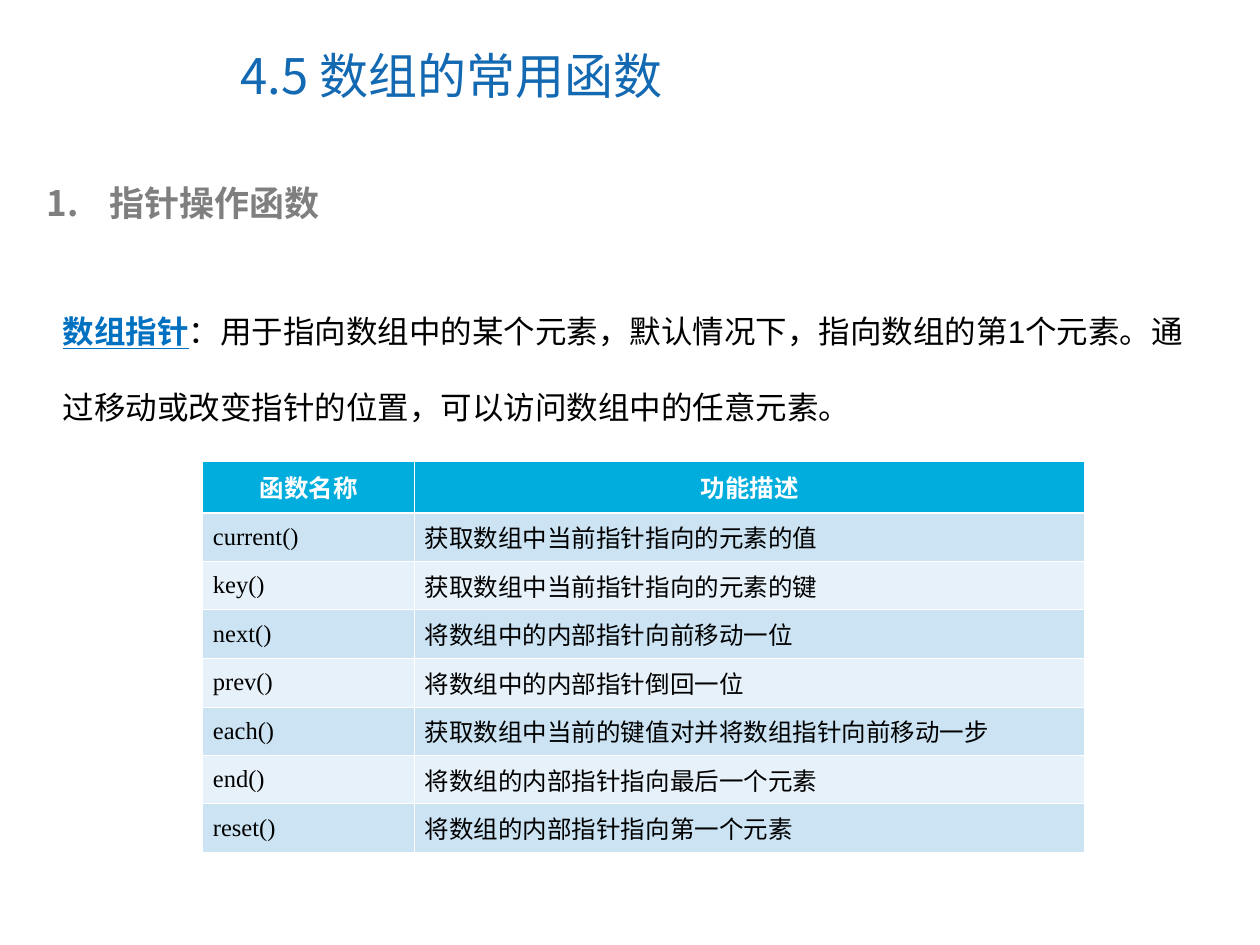
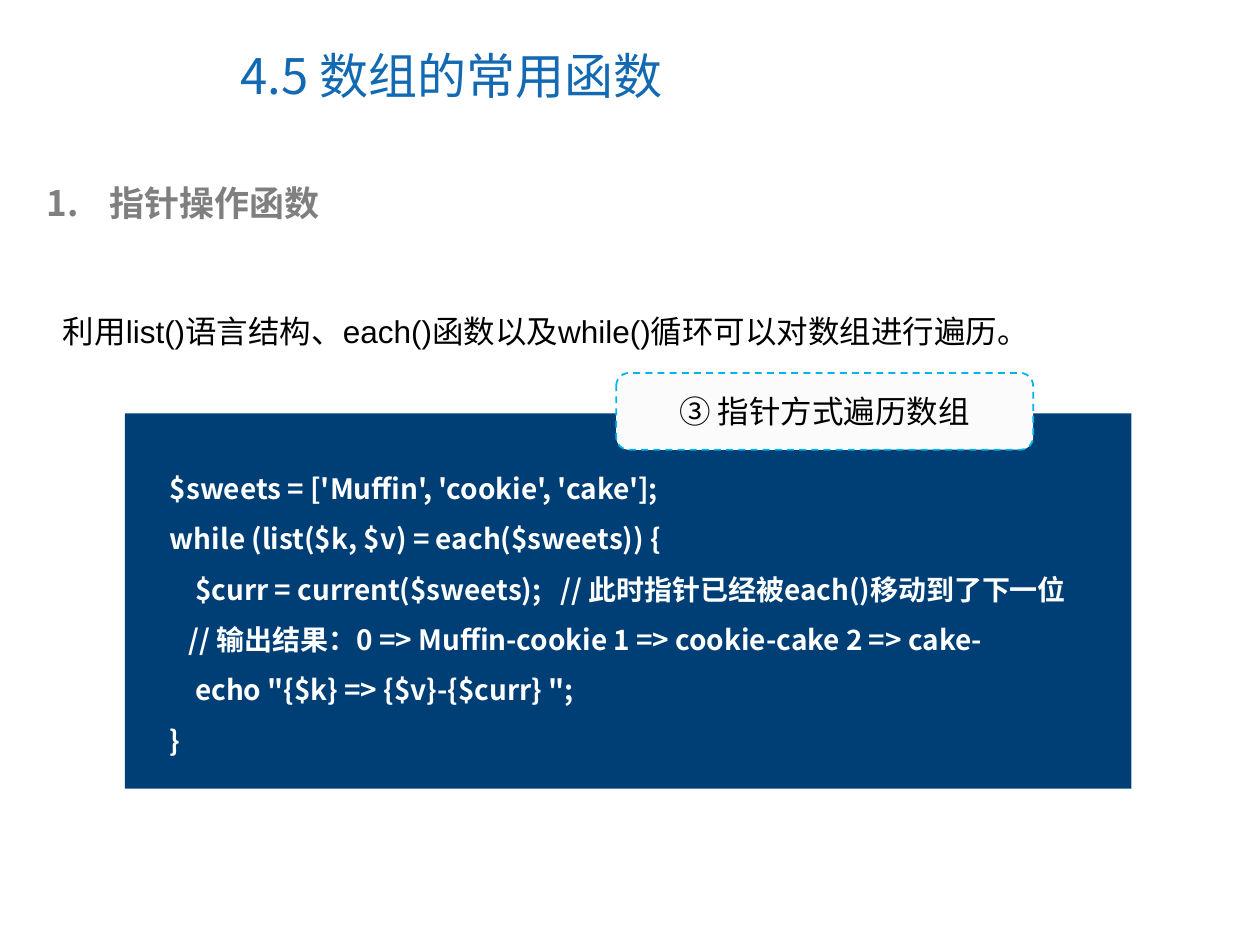
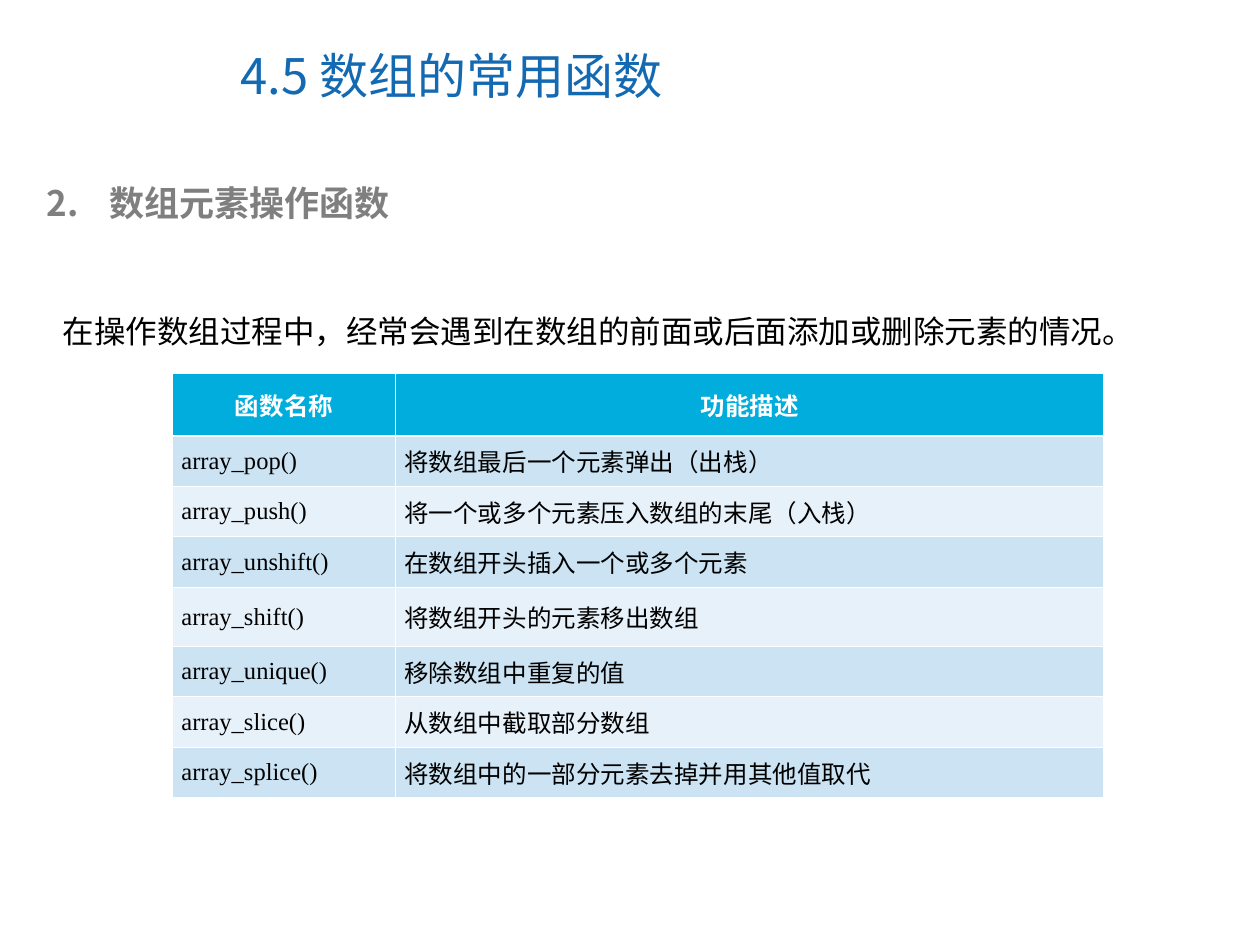
import lxml.etree
import pptx
import pptx.dml.color
import pptx.enum.dml
import pptx.enum.shapes
import pptx.enum.text
import pptx.oxml.ns
import pptx.util

Inches = pptx.util.Inches
Pt = pptx.util.Pt
ANCHOR = pptx.enum.text.MSO_ANCHOR
ALIGN = pptx.enum.text.PP_ALIGN
AUTO_SIZE = pptx.enum.text.MSO_AUTO_SIZE
SHAPES = pptx.enum.shapes.MSO_SHAPE

COLOURS = {
    "title": "1369B2", "heading": "7F7F7F", "term": "0070C0", "text": "000000",
    "white": "FFFFFF", "header": "00ADDC", "band_dark": "CBE3F2",
    "band_light": "E7F1F9", "code": "003F75", "tag": "FBFBFB", "tag_line": "00B4E9",
}
CJK = "Noto Sans CJK SC"
FORMATS = {
    "title": {"name": CJK, "size": Pt(28), "bold": False},
    "heading": {"name": CJK, "size": Pt(20), "bold": True},
    "text": {"name": "Arial", "size": Pt(18), "bold": False},
    "term": {"name": "Arial", "size": Pt(18), "bold": True, "underline": True},
    "code": {"name": CJK, "size": Pt(16), "bold": True},
    "header": {"name": "Cabin", "size": Pt(14), "bold": True},
    "cell": {"name": "Times New Roman", "size": Pt(14), "bold": False},
}
SECTION = "4.5 数组的常用函数"
TITLE_BOX = (1.81, 0.17, 5.16, 0.85)
HEADING_BOX = (0.27, 1.39, 9.22, 0.44)
INTRO_LEFT, INTRO_TOP, INTRO_WIDTH = 0.4, 2.13, 9.19
TABLE_HEADER = ("函数名称", "功能描述")
POINTER_ROWS = [
    ("current()", "获取数组中当前指针指向的元素的值"),
    ("key()", "获取数组中当前指针指向的元素的键"),
    ("next()", "将数组中的内部指针向前移动一位"),
    ("prev()", "将数组中的内部指针倒回一位"),
    ("each()", "获取数组中当前的键值对并将数组指针向前移动一步"),
    ("end()", "将数组的内部指针指向最后一个元素"),
    ("reset()", "将数组的内部指针指向第一个元素"),
]
ELEMENT_ROWS = [
    ("array_pop()", "将数组最后一个元素弹出（出栈）"),
    ("array_push()", "将一个或多个元素压入数组的末尾（入栈）"),
    ("array_unshift()", "在数组开头插入一个或多个元素"),
    ("array_shift()", "将数组开头的元素移出数组"),
    ("array_unique()", "移除数组中重复的值"),
    ("array_slice()", "从数组中截取部分数组"),
    ("array_splice()", "将数组中的一部分元素去掉并用其他值取代"),
]
CODE_LINES = [
    "$sweets = ['Muffin', 'cookie', 'cake'];",
    "while (list($k, $v) = each($sweets)) {",
    "    $curr = current($sweets);   // 此时指针已经被each()移动到了下一位",
    "   // 输出结果：0 => Muffin-cookie 1 => cookie-cake 2 => cake-",
    "    echo \"{$k} => {$v}-{$curr} \";",
    "}",
]


def rgb(key):
    """Return the named colour."""
    return pptx.dml.color.RGBColor.from_string(COLOURS[key])


def lengths(box):
    """Turn a box in inches into lengths."""
    return [Inches(value) for value in box]


def add_element(parent, tag, **attributes):
    """Append a DrawingML element with the given attributes."""
    return lxml.etree.SubElement(parent, pptx.oxml.ns.qn(tag), attributes)


def add_span(para, text, style, colour):
    """Add one formatted run for Latin and Chinese text."""
    span = para.add_run()
    span.text = text
    for name, value in FORMATS[style].items():
        setattr(span.font, name, value)
    span.font.color.rgb = rgb(colour)
    add_element(span.font._element, "a:ea", typeface=CJK)


def set_frame(frame, **settings):
    """Apply text frame settings over the shared defaults."""
    defaults = {"word_wrap": True, "auto_size": AUTO_SIZE.NONE,
                "vertical_anchor": ANCHOR.TOP}
    for name, value in {**defaults, **settings}.items():
        setattr(frame, name, value)


def place(shape, box):
    """Move and size a shape to a box."""
    for name, value in zip(("left", "top", "width", "height"), lengths(box)):
        setattr(shape, name, value)


def fill_title(page, box):
    """Fill the section title."""
    title = page.shapes.title
    place(title, box)
    set_frame(title.text_frame, vertical_anchor=ANCHOR.MIDDLE)
    para = title.text_frame.paragraphs[0]
    para.alignment = ALIGN.LEFT
    add_span(para, SECTION, "title", "title")


def fill_heading(page, box, number, text):
    """Fill the body placeholder with a numbered heading."""
    body = page.placeholders[1]
    place(body, box)
    set_frame(body.text_frame)
    para = body.text_frame.paragraphs[0]
    para.space_before = Pt(0)
    props = para._p.get_or_add_pPr()
    props.set("marL", str(Inches(0.5)))
    props.set("indent", str(-Inches(0.5)))
    add_element(add_element(props, "a:buClr"), "a:srgbClr", val=COLOURS["heading"])
    add_element(props, "a:buFont", typeface=CJK)
    add_element(props, "a:buAutoNum", type="arabicPeriod", startAt=str(number))
    add_span(para, text, "heading", "heading")


def add_page(deck, number, heading):
    """Add a page with the shared title and a numbered heading."""
    page = deck.slides.add_slide(deck.slide_layouts[1])
    fill_title(page, TITLE_BOX)
    fill_heading(page, HEADING_BOX, number, heading)
    return page


def add_intro(page, text, term="", height=0.7):
    """Add the introduction, led by an optional underlined term."""
    box = (INTRO_LEFT, INTRO_TOP, INTRO_WIDTH, height)
    frame = page.shapes.add_textbox(*lengths(box)).text_frame
    set_frame(frame)
    para = frame.paragraphs[0]
    para.line_spacing = 2.0
    if term:
        add_span(para, term, "term", "term")
    add_span(para, text, "text", "text")


def set_borders(cell, row_index):
    """Draw white cell borders, heavier below the header."""
    heavy = {0: "a:lnB", 1: "a:lnT"}.get(row_index)
    props = cell._tc.get_or_add_tcPr()
    for tag in ("a:lnL", "a:lnR", "a:lnT", "a:lnB"):
        width = Pt(1.47 if tag == heavy else 0.45)
        fill = add_element(add_element(props, tag, w=str(width)), "a:solidFill")
        add_element(fill, "a:srgbClr", val=COLOURS["white"])


def fill_cell(cell, text, row_index, margin):
    """Fill and format one table cell."""
    is_header = row_index == 0
    band = "header" if is_header else ("band_light", "band_dark")[row_index % 2]
    set_borders(cell, row_index)
    cell.fill.solid()
    cell.fill.fore_color.rgb = rgb(band)
    cell.vertical_anchor = ANCHOR.MIDDLE
    cell.margin_left = cell.margin_right = Inches(0.08 if is_header else margin)
    para = cell.text_frame.paragraphs[0]
    para.alignment = ALIGN.CENTER if is_header else ALIGN.LEFT
    add_span(para, text, "header" if is_header else "cell",
             "white" if is_header else "text")


def add_function_table(page, box, name_width, heights, rows, margin):
    """Add a function table; heights cover header, plain and tall rows."""
    header_height, plain_height, tall_height = heights
    entries = [TABLE_HEADER, *rows]
    table = page.shapes.add_table(len(entries), 2, *lengths(box)).table
    table.first_row = table.horz_banding = False
    for column, width in zip(table.columns, (name_width, box[2] - name_width)):
        column.width = Inches(width)
    special = {0: header_height, 4: tall_height}
    for row_index, entry in enumerate(entries):
        table.rows[row_index].height = Inches(special.get(row_index, plain_height))
        for column_index, text in enumerate(entry):
            fill_cell(table.cell(row_index, column_index), text, row_index, margin)


def add_code(page, box):
    """Add the grouped code panel."""
    left, top, width, height = box
    group = page.shapes.add_group_shape()
    panel = group.shapes.add_shape(SHAPES.RECTANGLE, *lengths(box))
    panel.shadow.inherit = False
    panel.fill.solid()
    panel.fill.fore_color.rgb = rgb("code")
    panel.line.fill.background()
    inner = (left + 0.26, top + 0.28, width - 0.16, height - 0.48)
    frame = group.shapes.add_textbox(*lengths(inner)).text_frame
    set_frame(frame)
    for index, line in enumerate(CODE_LINES):
        para = frame.add_paragraph() if index else frame.paragraphs[0]
        para.line_spacing = 1.5
        add_span(para, line, "code", "white")


def add_tag(page, box, text):
    """Add a dashed rounded label."""
    tag = page.shapes.add_shape(SHAPES.ROUNDED_RECTANGLE, *lengths(box))
    tag.shadow.inherit = False
    tag.fill.solid()
    tag.fill.fore_color.rgb = rgb("tag")
    tag.line.color.rgb = rgb("tag_line")
    tag.line.width = Pt(1)
    tag.line.dash_style = pptx.enum.dml.MSO_LINE.DASH
    set_frame(tag.text_frame, vertical_anchor=ANCHOR.MIDDLE)
    para = tag.text_frame.paragraphs[0]
    para.alignment = ALIGN.CENTER
    add_span(para, text, "text", "text")


def add_pointer_page(deck):
    """Add the page on pointer functions."""
    page = add_page(deck, 1, "指针操作函数")
    add_intro(page, "：用于指向数组中的某个元素，默认情况下，指向数组的第1个元素。"
              "通过移动或改变指针的位置，可以访问数组中的任意元素。", "数组指针", 1.3)
    add_function_table(page, (1.61, 3.66, 7, 2.75), 1.68, (0.41, 0.33, 0.39),
                       POINTER_ROWS, 0.08)


def add_loop_page(deck):
    """Add the page on looping with a pointer."""
    page = add_page(deck, 1, "指针操作函数")
    add_code(page, (0.99, 3.28, 7.99, 2.98))
    add_tag(page, (4.89, 2.96, 3.31, 0.61), "③ 指针方式遍历数组")
    add_intro(page, "利用list()语言结构、each()函数以及while()循环可以对数组进行遍历。")


def add_element_page(deck):
    """Add the page on element functions."""
    page = add_page(deck, 2, "数组元素操作函数")
    add_intro(page, "在操作数组过程中，经常会遇到在数组的前面或后面添加或删除元素的情况。")
    add_function_table(page, (1.37, 2.96, 7.39, 3.36), 1.77, (0.5, 0.4, 0.47),
                       ELEMENT_ROWS, 0.07)


def main():
    """Build and save the deck."""
    deck = pptx.Presentation()
    deck.slide_width, deck.slide_height = Inches(10), Inches(7.5)
    for add_content in (add_pointer_page, add_loop_page, add_element_page):
        add_content(deck)
    deck.save("out.pptx")


if __name__ == "__main__":
    main()
